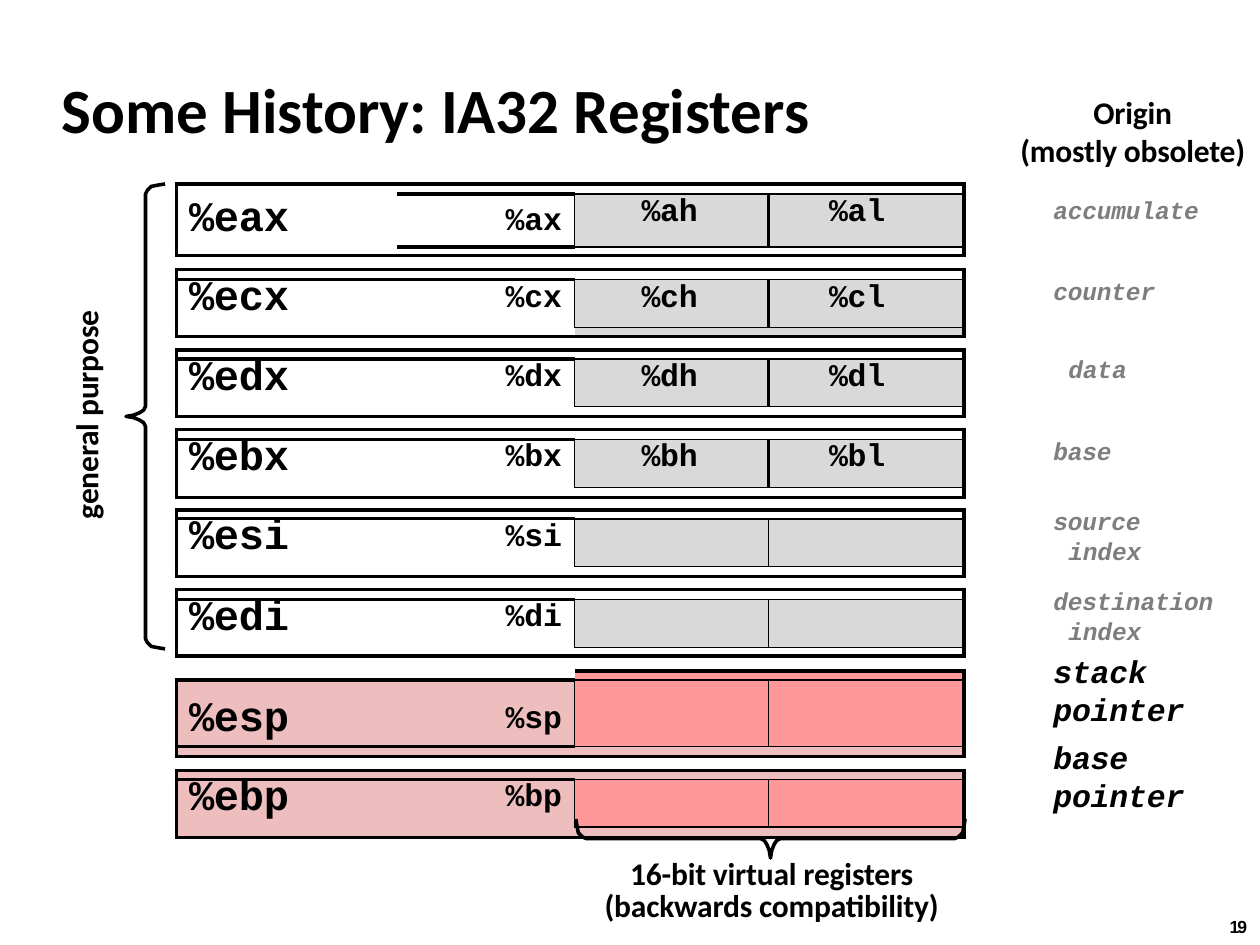
from lxml.etree import SubElement
from pptx import Presentation
from pptx.dml.color import RGBColor
from pptx.enum.text import MSO_ANCHOR, MSO_AUTO_SIZE, PP_ALIGN
from pptx.oxml import parse_xml
from pptx.oxml.ns import nsdecls, qn
from pptx.util import Inches, Pt

BLACK = RGBColor(0x00, 0x00, 0x00)
ORIGIN_GRAY = RGBColor(0x7E, 0x7E, 0x7E)
GRAY = RGBColor(0xD9, 0xD9, 0xD9)
PINK = RGBColor(0xEE, 0xBE, 0xBE)
RED = RGBColor(0xFF, 0x99, 0x99)
SANS, MONO = "Calibri", "Courier New"
NO_STYLE = "{2D5ABB26-0587-4C30-8999-92F81FD0307C}"
THICK, MEDIUM, THIN = 2.25, 1.5, 1

# 32-bit, 16-bit, high byte, low byte
REGISTERS = [
    ("%eax", "%ax", "%ah", "%al"),
    ("%ecx", "%cx", "%ch", "%cl"),
    ("%edx", "%dx", "%dh", "%dl"),
    ("%ebx", "%bx", "%bh", "%bl"),
    ("%esi", "%si", "", ""),
    ("%edi", "%di", "", ""),
    ("%esp", "%sp", "", ""),
    ("%ebp", "%bp", "", ""),
]
COLUMN_WIDTHS = [1.75, 1.41, 1.54, 1.55]
# top strip, body, bottom strip and gap below for each register
ROW_HEIGHTS = [
    (0.08, 0.42, 0.07, 0.11), (0.08, 0.38, 0.07, 0.11),
    (0.07, 0.38, 0.08, 0.10), (0.08, 0.38, 0.08, 0.10),
    (0.07, 0.38, 0.08, 0.10), (0.08, 0.38, 0.07, 0.12),
    (0.07, 0.53, 0.08, 0.11), (0.07, 0.38, 0.08),
]
TOP_MARGINS = {"%eax": 0.02, "%ax": 0.08, "%esp": 0.13, "%sp": 0.18}

# text, size, colour, left indent in inches, space before in points
ORIGINS = [
    ("accumulate", 14, ORIGIN_GRAY, 0, 0),
    ("counter", 14, ORIGIN_GRAY, 0, 29.3),
    ("data", 14, ORIGIN_GRAY, 0.12, 27.6),
    ("base", 14, ORIGIN_GRAY, 0, 30.2),
    ("source", 14, ORIGIN_GRAY, 0, 23),
    ("index", 14, ORIGIN_GRAY, 0.12, 0.5),
    ("destination", 14, ORIGIN_GRAY, 0, 11.6),
    ("index", 14, ORIGIN_GRAY, 0.12, 0.3),
    ("stack", 18, BLACK, 0, 4.2),
    ("pointer", 18, BLACK, 0, 0),
    ("base", 18, BLACK, 0, 5.9),
    ("pointer", 18, BLACK, 0, 0),
]


def add_run(paragraph, text, size, font=SANS, color=BLACK, italic=None, spacing=-0.1):
    run = paragraph.add_run()
    run.text = text
    run.font.size, run.font.name = Pt(size), font
    run.font.bold, run.font.italic = True, italic
    run.font.color.rgb = color
    run.font._element.set("spc", str(round(spacing * 100)))


def prepare_frame(frame):
    frame.word_wrap = True
    frame.auto_size = MSO_AUTO_SIZE.NONE
    frame.vertical_anchor = MSO_ANCHOR.TOP
    frame.margin_left = frame.margin_right = frame.margin_bottom = 0
    frame.margin_top = Inches(0.01)
    return frame


def add_text_frame(slide, left, top, width, height):
    box = slide.shapes.add_textbox(Inches(left), Inches(top), Inches(width), Inches(height))
    return prepare_frame(box.text_frame)


def add_label(slide, area, lines, size=18, font=SANS, align=PP_ALIGN.CENTER, spacing=-0.1):
    frame = add_text_frame(slide, *area)
    for index, line in enumerate(lines):
        paragraph = frame.add_paragraph() if index else frame.paragraphs[0]
        paragraph.alignment = align
        add_run(paragraph, line, size, font, spacing=spacing)
    return frame


def add_brace(slide, start, length, vertical):
    """Draw a brace from start, bulging left if vertical, else downwards."""
    middle = length / 2
    half = [(0, 0), (0.01, 0.06), (0.02, 0.11), (0.05, 0.14), (0.08, 0.155),
            (middle - 0.08, 0.155), (middle - 0.05, 0.17), (middle - 0.03, 0.2),
            (middle - 0.01, 0.25), (middle, 0.31)]
    profile = half + [(length - along, depth) for along, depth in half[-2::-1]]
    left, top = start
    points = [(left - depth, top + along) if vertical else (left + along, top + depth)
              for along, depth in profile]
    points = [(Inches(x), Inches(y)) for x, y in points]
    builder = slide.shapes.build_freeform(*points[0])
    builder.add_line_segments(points[1:], close=False)
    brace = builder.convert_to_shape()
    brace.shadow.inherit = False
    brace.fill.background()
    brace.line.color.rgb = BLACK
    brace.line.width = Pt(2.04)


def set_borders(cell, borders):
    """Add borders given as a dict from side letter to width in points."""
    properties = cell._tc.get_or_add_tcPr()
    sides = [side for side in "LRTB" if side in borders]
    for position, side in enumerate(sides):
        width = Pt(borders[side])
        properties.insert(position, parse_xml(
            f'<a:ln{side} {nsdecls("a")} w="{width}"><a:solidFill>'
            f'<a:srgbClr val="{BLACK}"/></a:solidFill></a:ln{side}>'))


def cell_borders(register, part, column):
    """Part is 0 for the top strip, 1 for the body, 2 for the bottom strip."""
    name, borders = REGISTERS[register][0], {}
    if column == 0 and (name, part) != ("%esp", 0):
        borders["L"] = THICK
    if column == 3:
        borders["R"] = THICK
    if part == 0:
        if column >= 2 or name != "%esp":
            borders["T"] = THICK
        if column >= 2:
            borders["B"] = THIN
    elif part == 2:
        borders["B"] = THICK
        if column >= 2:
            borders["T"] = THIN
    elif column >= 2:
        borders.update(T=THIN, B=THIN)
        if REGISTERS[register][column]:
            borders["L" if column == 3 else "R"] = MEDIUM
        if column == 2:
            borders["L"] = THIN
    else:
        if name == "%esp" or (name, column) == ("%eax", 1):
            borders["T"] = THICK
        if column == 1:
            borders["R"] = THIN
    return borders


def cell_fill(register, part, column):
    name = REGISTERS[register][0]
    pointer, right = name in ("%esp", "%ebp"), column >= 2
    if name == "%esp" and part == 0:
        return RED if right else None
    if pointer:
        return RED if right and part == 1 else PINK
    gray = right and (part == 1 or (name == "%ecx" and part == 2))
    return GRAY if gray else None


def write_register(cell, text, column):
    cell.margin_top = Inches(TOP_MARGINS.get(text, 0 if column == 0 else 0.01))
    cell.margin_left = Inches([0.1, 0, 0, 0.48][column])
    paragraph = cell.text_frame.paragraphs[0]
    paragraph.alignment = [PP_ALIGN.LEFT, PP_ALIGN.RIGHT, PP_ALIGN.CENTER, PP_ALIGN.LEFT][column]
    if column == 0 and text not in TOP_MARGINS:
        paragraph.line_spacing = Pt(25)
    if column == 1:
        cell.margin_right = Inches(0.1)
    if column == 2:
        cell.margin_right = Inches(0.03)
    add_run(paragraph, text, 24 if column == 0 else 18, MONO)


def add_register_table(slide):
    heights = [height for group in ROW_HEIGHTS for height in group]
    frame = slide.shapes.add_table(len(heights), len(COLUMN_WIDTHS), Inches(1.4), Inches(1.46),
                                   Inches(sum(COLUMN_WIDTHS)), Inches(5.17))
    table = frame.table
    table.first_row = table.horz_banding = False
    table._tbl.tblPr.find(qn("a:tableStyleId")).text = NO_STYLE
    for column, width in zip(table.columns, COLUMN_WIDTHS):
        column.width = Inches(width)
    for row_index, height in enumerate(heights):
        table.rows[row_index].height = Inches(height)
        register, part = divmod(row_index, 4)
        for column, text in enumerate(REGISTERS[register]):
            cell = table.cell(row_index, column)
            cell.margin_left = cell.margin_right = cell.margin_top = cell.margin_bottom = 0
            if part == 1 and text:
                write_register(cell, text, column)
            else:
                SubElement(cell.text_frame.paragraphs[0]._p, qn("a:endParaRPr"), sz="300")
            if part == 3:
                continue
            color = cell_fill(register, part, column)
            if color is not None:
                cell.fill.solid()
                cell.fill.fore_color.rgb = color
            set_borders(cell, cell_borders(register, part, column))
    table.cell(0, 0).merge(table.cell(0, 2))
    frame.height = Inches(5.17)


def add_origins(slide):
    frame = add_text_frame(slide, 8.36, 1.54, 1.3, 4.91)
    for index, (text, size, color, indent, before) in enumerate(ORIGINS):
        paragraph = frame.add_paragraph() if index else frame.paragraphs[0]
        if before:
            paragraph.space_before = Pt(before)
        if indent:
            paragraph._p.get_or_add_pPr().set("marL", str(Inches(indent)))
        add_run(paragraph, text, size, MONO, color, italic=True)


def main():
    presentation = Presentation()
    presentation.slide_width, presentation.slide_height = Inches(10), Inches(7.5)
    slide = presentation.slides.add_slide(presentation.slide_layouts[5])
    title = slide.shapes.title
    title.left, title.top, title.width, title.height = map(Inches, (0.49, 0.55, 6, 0.63))
    paragraph = prepare_frame(title.text_frame).paragraphs[0]
    paragraph.alignment = PP_ALIGN.LEFT
    add_run(paragraph, "Some History: IA32 Registers", 36, spacing=0)

    add_label(slide, (9.76, 7.26, 0.15, 0.19), ["19"], 10, "Arial", PP_ALIGN.LEFT, -1.1)
    add_register_table(slide)
    add_brace(slide, (4.57, 6.5), 3.09, vertical=False)
    add_brace(slide, (1.31, 1.46), 3.69, vertical=True)
    compatibility = add_label(slide, (4.76, 6.77, 2.73, 0.57),
                              ["16-bit virtual registers", "(backwards compatibility)"])
    compatibility.paragraphs[1].line_spacing = Pt(18.3)
    purpose = add_label(slide, (0.58, 2.42, 0.28, 1.7), ["general purpose"], align=PP_ALIGN.LEFT)
    purpose.margin_top = 0
    purpose.paragraphs[0].line_spacing = Pt(18.1)
    purpose._txBody.bodyPr.set("vert", "vert270")
    add_origins(slide)
    add_label(slide, (8.07, 0.73, 1.84, 0.63), ["Origin", "(mostly obsolete)"])
    presentation.save("out.pptx")


if __name__ == "__main__":
    main()
